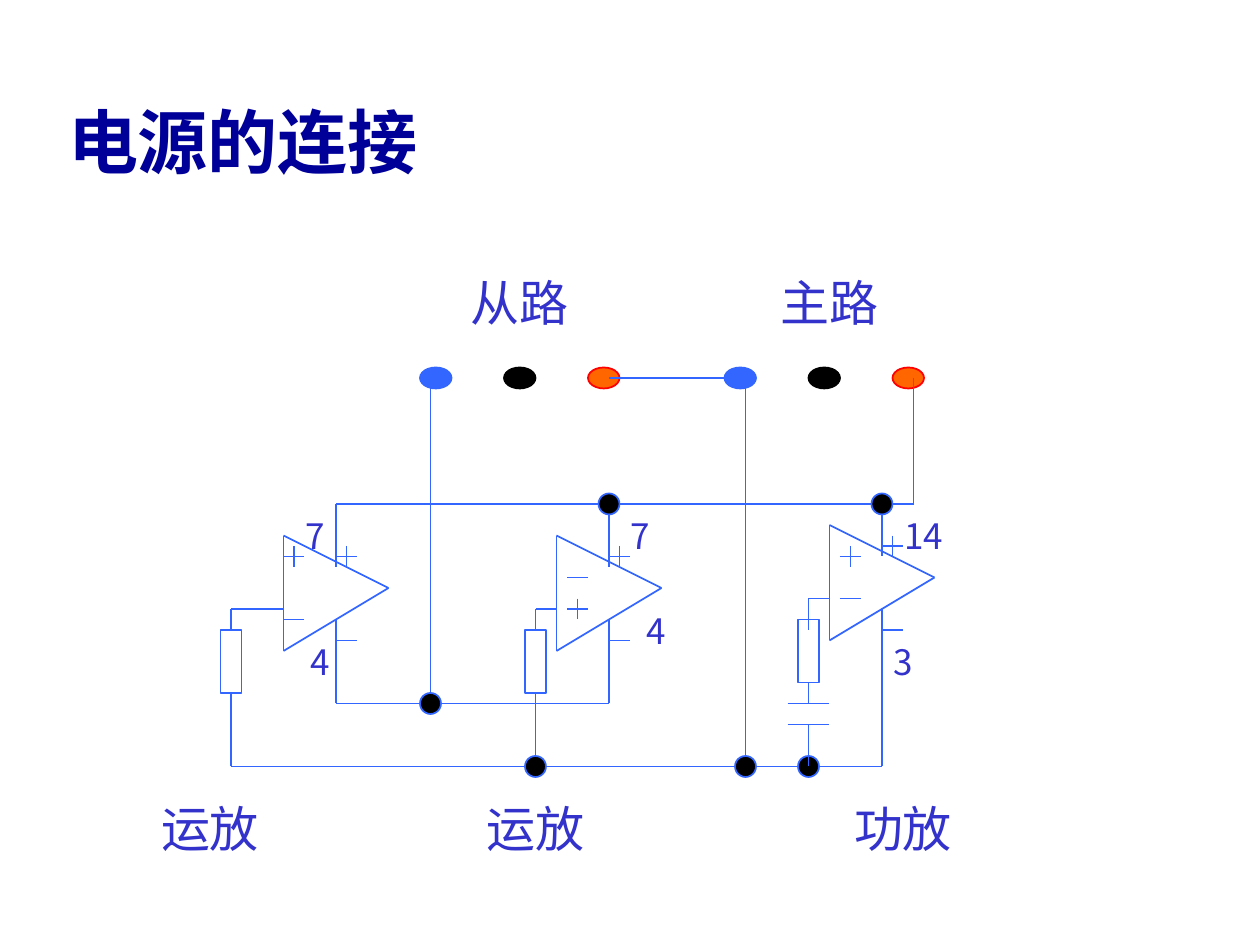
"""Build the slide showing how the amplifiers connect to the dual power supply."""
from itertools import pairwise

from lxml import etree
from pptx import Presentation
from pptx import util as u
from pptx.dml.color import RGBColor
from pptx.enum import shapes, text
from pptx.oxml.ns import qn

BLUE = RGBColor(0x33, 0x66, 0xFF)
BLACK = RGBColor(0, 0, 0)
ORANGE = RGBColor(0xFF, 0x66, 0)
RED = RGBColor(0xFF, 0, 0)
LABEL = RGBColor(0x33, 0x33, 0xCC)
TITLE = RGBColor(0, 0, 0x99)
GRID = u.Inches(1) / 12

deck = Presentation()
deck.slide_width, deck.slide_height = u.Inches(10), u.Inches(7.5)
slide = deck.slides.add_slide(deck.slide_layouts[5])


def wire(*points):
    for start, end in pairwise(points):
        ends = [round(value * GRID) for value in start + end]
        segment = slide.shapes.add_connector(shapes.MSO_CONNECTOR.STRAIGHT, *ends)
        segment.line.color.rgb = BLUE
        segment.line.width = u.Pt(1)
        etree.SubElement(segment._element.spPr, qn("a:effectLst"))


def part(kind, left, top, width, height, fill=None, outline=BLUE):
    box = [round(value * GRID) for value in (left, top, width, height)]
    symbol = slide.shapes.add_shape(kind, *box)
    symbol.shadow.inherit = False
    if fill is None:
        symbol.fill.background()
    else:
        symbol.fill.solid()
        symbol.fill.fore_color.rgb = fill
    symbol.line.color.rgb = outline
    symbol.line.width = u.Pt(1)


heading = slide.shapes.title
heading.left, heading.top = u.Inches(0.44), u.Inches(0.25)
heading.width, heading.height = u.Inches(8.5), u.Inches(1.25)
heading.text_frame.text = "电源的连接"
heading.text_frame.vertical_anchor = text.MSO_ANCHOR.BOTTOM
heading_line = heading.text_frame.paragraphs[0]
heading_line.alignment = text.PP_ALIGN.LEFT
heading_line.font.name = "Times New Roman"
heading_line.font.size = u.Pt(40)
heading_line.font.bold = True
heading_line.font.color.rgb = TITLE

terminal_colours = [(BLUE, BLUE), (BLACK, BLACK), (ORANGE, RED)]
for channel_left in (40, 69):
    for index, (fill, outline) in enumerate(terminal_colours):
        part(shapes.MSO_SHAPE.FLOWCHART_CONNECTOR,
             channel_left + 8 * index, 35, 3, 2, fill, outline)

amplifiers = [
    (27, 51, (1, 2), (1, 8)),
    (53, 51, (2, 7), (2, 4)),
    (79, 50, (2, 3), (2, 7)),
]
for x, y, plus_input, minus_input in amplifiers:
    wire((x, y), (x + 10, y + 5), (x, y + 11), (x, y))
    wire((x + 5, y - 2), (x + 5, y + 3))
    wire((x + 5, y + 8), (x + 5, y + 12))
    for dx, dy in (plus_input, minus_input, (6, 2), (6, 10)):
        wire((x + dx - 1, y + dy), (x + dx + 1, y + dy))
    for dx, dy in (plus_input, (6, 2)):
        wire((x + dx, y + dy - 1), (x + dx, y + dy + 1))

wiring = [
    [(58, 36), (71, 36)],
    [(41, 36), (41, 67)],
    [(32, 63), (32, 67), (58, 67), (58, 61)],
    [(71, 36), (71, 73)],
    [(84, 61), (84, 73), (22, 73), (22, 66)],
    [(87, 36), (87, 48), (32, 48), (32, 50)],
    [(58, 50), (58, 48)],
    [(27, 58), (22, 58), (22, 60)],
    [(53, 58), (51, 58), (51, 60)],
    [(51, 66), (51, 73)],
    [(79, 57), (77, 57), (77, 60)],
    [(77, 65), (77, 67)],
    [(75, 67), (79, 67)],
    [(75, 69), (79, 69)],
]
for route in wiring:
    wire(*route)

for x, top in [(22, 60), (51, 60), (77, 59)]:
    part(shapes.MSO_SHAPE.FLOWCHART_PROCESS, x - 1, top, 2, 6)

for x, y in [(71, 73), (84, 48), (58, 48), (41, 67), (51, 73), (77, 73)]:
    part(shapes.MSO_SHAPE.FLOWCHART_CONNECTOR, x - 1, y - 1, 2, 2, BLACK)
wire((77, 73), (77, 69))

labels = [
    ("从路", 42, 26, 15, 28),
    ("主路", 70, 26, 18, 28),
    ("7", 29, 49, 2, 20),
    ("4", 29, 61, 3, 20),
    ("7", 60, 49, 2, 20),
    ("4", 61, 58, 3, 20),
    ("14", 85, 49, 6, 20),
    ("3", 84, 61, 4, 20),
    ("运放", 13, 76, 14, 28),
    ("运放", 44, 76, 14, 28),
    ("功放", 79, 76, 14, 28),
]
for wording, left, top, width, size in labels:
    height = u.Inches(0.52 if size == 28 else 0.39)
    label = slide.shapes.add_textbox(
        round(left * GRID), round(top * GRID), round(width * GRID), height)
    frame = label.text_frame
    frame.word_wrap = True
    frame.auto_size = text.MSO_AUTO_SIZE.SHAPE_TO_FIT_TEXT
    frame.margin_left = frame.margin_right = frame.margin_top = 0
    frame.margin_bottom = u.Inches(0.05)
    frame.text = wording
    line = frame.paragraphs[0]
    line.alignment = text.PP_ALIGN.CENTER
    line.font.name = "Noto Sans CJK SC"
    line.font.size = u.Pt(size)
    line.font.color.rgb = LABEL

deck.save("out.pptx")
